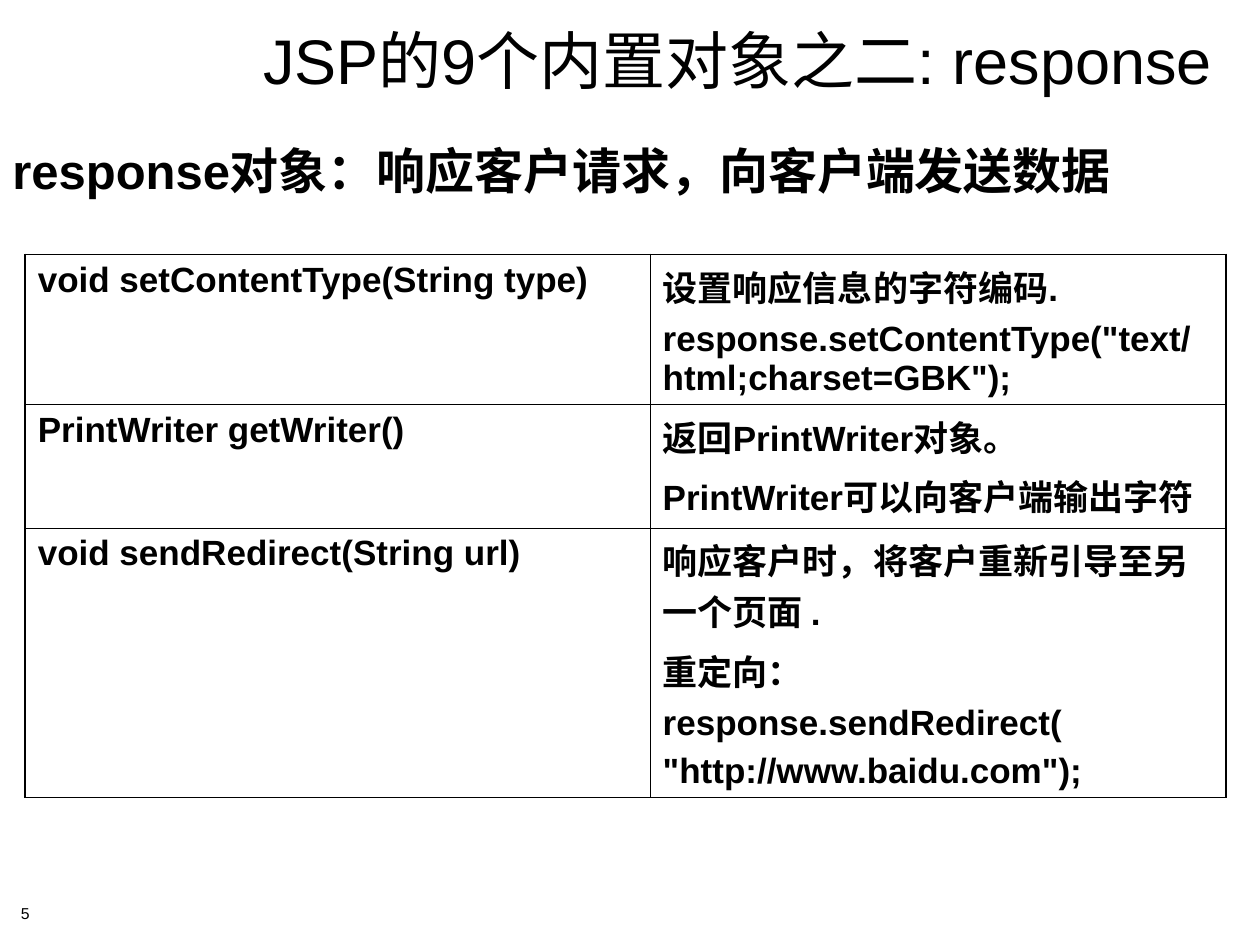
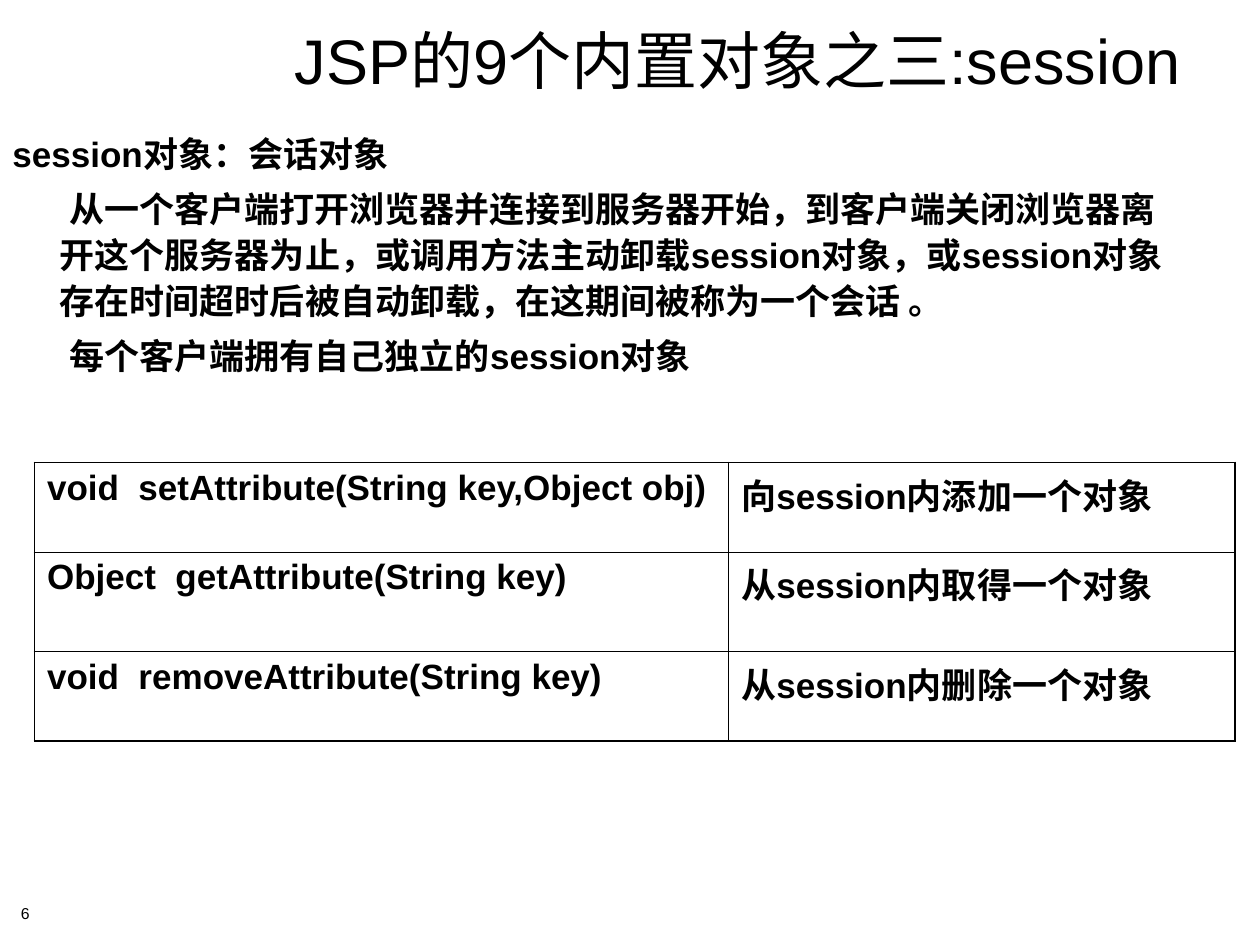
from lxml.etree import SubElement
from pptx import Presentation
from pptx.dml.color import RGBColor
from pptx.enum.text import MSO_ANCHOR as Anchor, PP_ALIGN as Align
from pptx.oxml.ns import qn
from pptx.util import Pt

COLORS = {"paper": "FFFFFF", "ink": "000000"}
LATIN, CHINESE = "Arial", "Noto Sans CJK SC"
OUTER_LINE, INNER_LINE = 1.08, 0.45
HANGING = 27

RESPONSE_METHODS = [
    ("void setContentType(String type)",
     ["设置响应信息的字符编码.",
      'response.setContentType("text/html;charset=GBK");']),
    ("PrintWriter getWriter()",
     ["返回PrintWriter对象。", "PrintWriter可以向客户端输出字符"]),
    ("void sendRedirect(String url)",
     ["响应客户时，将客户重新引导至另一个页面 .", "重定向：",
      "response.sendRedirect(", '"http://www.baidu.com");']),
]
SESSION_METHODS = [
    ("void  setAttribute(String key,Object obj)", ["向session内添加一个对象"]),
    ("Object  getAttribute(String key)", ["从session内取得一个对象"]),
    ("void  removeAttribute(String key)", ["从session内删除一个对象"]),
]
SESSION_NOTES = [
    "从一个客户端打开浏览器并连接到服务器开始，到客户端关闭浏览器离开这个服务器为止，"
    "或调用方法主动卸载session对象，或session对象存在时间超时后被自动卸载，"
    "在这期间被称为一个会话 。",
    "每个客户端拥有自己独立的session对象",
]


def style_span(span, size, bold=False, latin=LATIN):
    span.font.size = Pt(size)
    span.font.bold = bold
    span.font.name = latin
    span.font.color.rgb = RGBColor.from_string(COLORS["ink"])
    SubElement(span.font._element, qn("a:ea"), typeface=CHINESE)


def write_lines(frame, lines, size, bold=False, gap=5):
    """Fill a text frame with one paragraph per line, spaced by gap."""
    frame.text = "\n".join(lines)
    for index, para in enumerate(frame.paragraphs):
        para.space_before = Pt(gap if index else 0)
        for span in para.runs:
            style_span(span, size, bold)


def set_indent(para, margin, first_line):
    properties = para._p.get_or_add_pPr()
    properties.set("marL", str(Pt(margin)))
    properties.set("indent", str(Pt(first_line)))


def add_text(page, lines, left, top, width, height, size, bold=False,
             anchor=Anchor.TOP):
    box = page.shapes.add_textbox(Pt(left), Pt(top), Pt(width), Pt(height))
    frame = box.text_frame
    frame.word_wrap = True
    frame.vertical_anchor = anchor
    write_lines(frame, lines, size, bold)
    return frame


def add_page(deck, title, number):
    page = deck.slides.add_slide(deck.slide_layouts[6])
    page.background.fill.solid()
    page.background.fill.fore_color.rgb = RGBColor.from_string(COLORS["paper"])
    footer = add_text(page, [str(number)], 12, 516, 696, 12, 9,
                      anchor=Anchor.MIDDLE)
    footer.margin_left = footer.margin_right = 0
    footer.margin_top = footer.margin_bottom = 0
    heading = add_text(page, [title], 123, 0, 597, 67.5, 36,
                       anchor=Anchor.MIDDLE)
    heading.paragraphs[0].alignment = Align.CENTER
    return page


def add_body(page, lines, height, size):
    frame = add_text(page, lines, 0, 77, 680, height, size, bold=True)
    set_indent(frame.paragraphs[0], HANGING, -HANGING)
    return frame


def set_borders(cell, outer_sides):
    properties = cell._tc.get_or_add_tcPr()
    for side in "LRTB":
        weight = OUTER_LINE if side in outer_sides else INNER_LINE
        line = SubElement(properties, qn(f"a:ln{side}"), w=str(Pt(weight)))
        fill = SubElement(line, qn("a:solidFill"))
        SubElement(fill, qn("a:srgbClr"), val=COLORS["ink"])


def add_method_table(page, methods, left, top, widths, heights):
    """List each method signature beside its description."""
    table = page.shapes.add_table(
        len(methods), 2, Pt(left), Pt(top),
        Pt(sum(widths)), Pt(sum(heights))).table
    table.first_row = table.horz_banding = False
    for column, width in zip(table.columns, widths):
        column.width = Pt(width)
    for index, (signature, description) in enumerate(methods):
        table.rows[index].height = Pt(heights[index])
        edges = "T" * (index == 0) + "B" * (index == len(methods) - 1)
        for column, lines in enumerate(([signature], description)):
            cell = table.cell(index, column)
            write_lines(cell.text_frame, lines, 20, bold=True)
            set_borders(cell, edges + "LR"[column])
            cell.fill.background()


def build_response_page(deck):
    page = add_page(deck, "JSP的9个内置对象之二: response", 5)
    body = add_body(page, ["response对象："], 51, 28)
    span = body.paragraphs[0].add_run()
    span.text = "响应客户请求，向客户端发送数据"
    style_span(span, 28, bold=True, latin=CHINESE)
    add_method_table(page, RESPONSE_METHODS, 14.4, 145.4,
                     [357.1, 329], [85.7, 70.6, 154])


def build_session_page(deck):
    page = add_page(deck, "JSP的9个内置对象之三:session", 6)
    body = add_body(page, ["session对象：会话对象", *SESSION_NOTES], 165, 20)
    term, *notes = body.paragraphs
    term.line_spacing = 0.8
    for note in notes:
        note.line_spacing = 1.1
        set_indent(note, HANGING, 5.5)
    add_method_table(page, SESSION_METHODS, 19.7, 264.3,
                     [396.7, 289.4], [51.1, 56.9, 51.1])


def main():
    deck = Presentation()
    deck.slide_width, deck.slide_height = Pt(720), Pt(540)
    build_response_page(deck)
    build_session_page(deck)
    deck.save("out.pptx")


if __name__ == "__main__":
    main()
